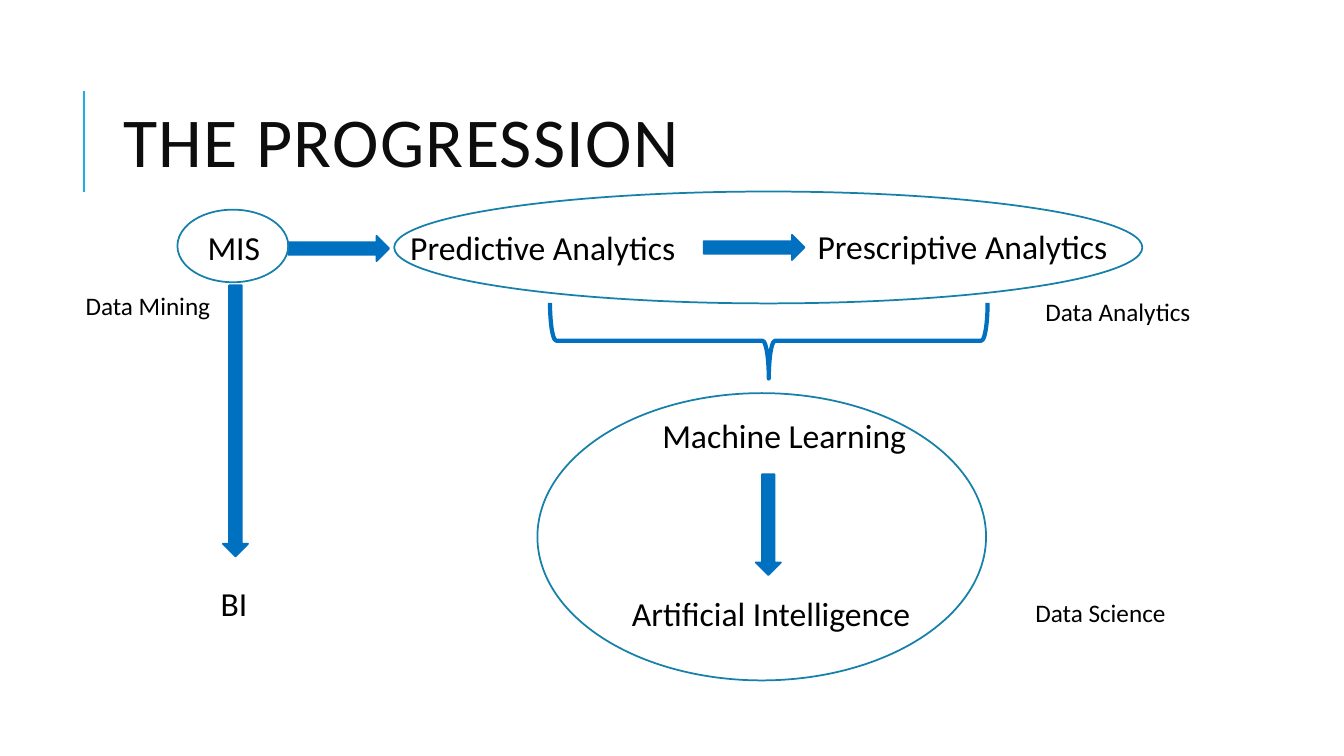
from pptx import Presentation
from pptx.dml.color import RGBColor
from pptx.enum.shapes import MSO_CONNECTOR, MSO_SHAPE
from pptx.enum.text import MSO_ANCHOR, MSO_AUTO_SIZE, PP_ALIGN
from pptx.oxml.ns import qn
from pptx.util import Inches, Pt
from lxml import etree

BLACK = RGBColor(0x00, 0x00, 0x00)
TITLE_INK = RGBColor(0x0D, 0x0D, 0x0D)
ACCENT = RGBColor(0x1C, 0xAD, 0xE4)
ARROW_BLUE = RGBColor(0x00, 0x70, 0xC0)
OUTLINE = RGBColor(0x15, 0x80, 0xA9)
FONT = "Calibri"


class Diagram:
    """Draws the elements of a flow diagram on one slide in a shared style."""

    def __init__(self, prs):
        self.s = prs.slides.add_slide(prs.slide_layouts[5])

    def run(self, p, text, size, color):
        r = p.add_run()
        r.text = text
        r.font.name = FONT
        r.font.size = Pt(size)
        r.font.color.rgb = color
        return r

    def title(self, text, *box):
        sp = self.s.shapes.title
        sp.left, sp.top, sp.width, sp.height = map(Inches, box)
        tf = sp.text_frame
        tf.auto_size = MSO_AUTO_SIZE.NONE
        tf.vertical_anchor = MSO_ANCHOR.MIDDLE
        p = tf.paragraphs[0]
        p.alignment = PP_ALIGN.LEFT
        p.line_spacing = 0.8
        r = self.run(p, text, 50, TITLE_INK)
        r.font._element.set("spc", "100")

    def rule(self, x, top, bottom):
        line = self.s.shapes.add_connector(
            MSO_CONNECTOR.STRAIGHT, Inches(x), Inches(bottom), Inches(x), Inches(top))
        line.line.color.rgb = ACCENT
        line.line.width = Pt(1.5)
        etree.SubElement(line._element.spPr, qn("a:effectLst"))

    def label(self, text, left, top, width, size=24):
        height = 0.5 if size == 24 else 0.4
        sp = self.s.shapes.add_textbox(*map(Inches, (left, top, width, height)))
        tf = sp.text_frame
        tf.word_wrap = True
        tf.auto_size = MSO_AUTO_SIZE.SHAPE_TO_FIT_TEXT
        self.run(tf.paragraphs[0], text, size, BLACK)

    def shape(self, kind, box, color, width, rotation=0, filled=False):
        sp = self.s.shapes.add_shape(kind, *map(Inches, box))
        sp.shadow.inherit = False
        sp.rotation = rotation
        if filled:
            sp.fill.solid()
            sp.fill.fore_color.rgb = color
        else:
            sp.fill.background()
        sp.line.color.rgb = color
        sp.line.width = Pt(width)

    def arrow(self, left, top, length=1, rotation=0):
        self.shape(MSO_SHAPE.RIGHT_ARROW, (left, top, length, 0.25),
                   ARROW_BLUE, 1.25, rotation, filled=True)

    def brace(self, *box):
        self.shape(MSO_SHAPE.RIGHT_BRACE, box, ARROW_BLUE, 3, rotation=90)

    def ellipse(self, *box):
        self.shape(MSO_SHAPE.OVAL, box, OUTLINE, 1.25)


def main():
    """Build the progression slide and save it."""
    prs = Presentation()
    prs.slide_width, prs.slide_height = Inches(13.33), Inches(7.5)
    d = Diagram(prs)

    d.rule(0.83, 0.9, 1.9)
    d.title("THE PROGRESSION", 1.12, 0.64, 10.63, 1.64)

    d.label("MIS", 1.96, 2.2, 0.75)
    d.label("Predictive Analytics", 3.97, 2.2, 2.91)
    d.arrow(6.98, 2.33)
    d.label("Prescriptive Analytics", 8.01, 2.19, 3.32)
    d.label("Machine Learning", 6.47, 4.07, 3.32)
    d.arrow(7.12, 5.08, rotation=90)
    d.label("Artificial Intelligence", 6.17, 5.83, 3.17)
    d.label("BI", 2.09, 5.73, 0.5)
    d.brace(7.25, 1.21, 0.75, 4.34)
    d.arrow(2.86, 2.34)
    d.arrow(0.99, 4.05, length=2.69, rotation=90)

    d.ellipse(1.76, 2.08, 1.1, 0.72)
    d.label("Data Mining", 0.75, 2.83, 1.71, size=18)
    d.ellipse(3.91, 1.9, 7.42, 1.11)
    d.label("Data Analytics", 10.27, 2.89, 2.12, size=18)
    d.ellipse(5.33, 3.9, 4.45, 2.85)
    d.label("Data Science", 10.17, 5.88, 2.12, size=18)

    prs.save("out.pptx")


if __name__ == "__main__":
    main()
